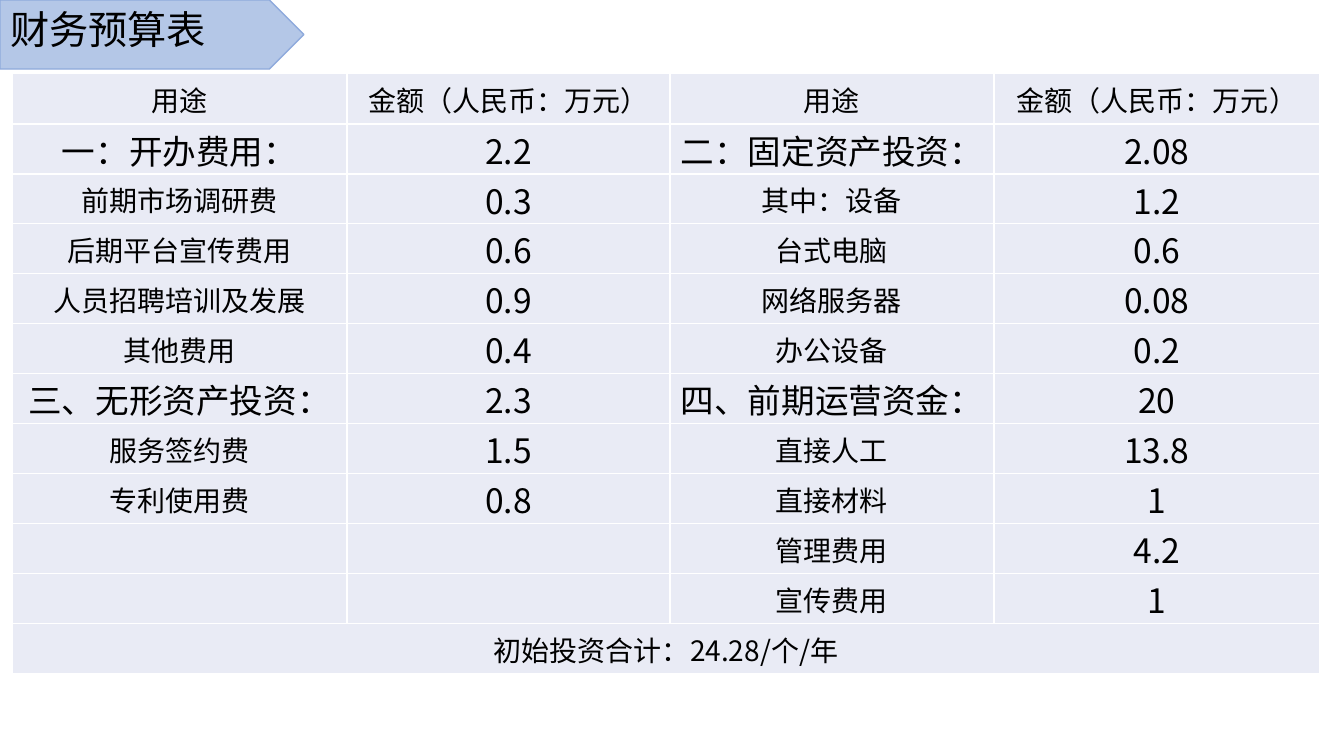
from lxml.etree import SubElement
from pptx import Presentation
from pptx.dml.color import RGBColor
from pptx.enum.shapes import MSO_SHAPE as SHAPE
from pptx.enum.text import MSO_ANCHOR as ANCHOR, MSO_AUTO_SIZE as AUTO, PP_ALIGN as ALIGN
from pptx.oxml.ns import qn
from pptx.util import Pt

PX = 12192000 / 1344
FONT = "Noto Sans CJK SC"
COLORS = {"text": "000000", "banner": "B4C7E7", "banner_line": "8FAADC",
          "cell": "E9EBF5", "border": "FFFFFF"}
COLS = [335, 323, 324, 326]
HEADER_H, ROW_H = 51, 50
HEADER = ["用途", "金额（人民币：万元）"] * 2
TOTAL = "初始投资合计：24.28/个/年"
LEFT = [
    ("一：开办费用：", "2.2"), ("前期市场调研费", "0.3"), ("后期平台宣传费用", "0.6"),
    ("人员招聘培训及发展", "0.9"), ("其他费用", "0.4"), ("三、无形资产投资：", "2.3"),
    ("服务签约费", "1.5"), ("专利使用费", "0.8"), ("", ""), ("", ""),
]
RIGHT = [
    ("二：固定资产投资：", "2.08"), ("其中：设备", "1.2"), ("台式电脑", "0.6"),
    ("网络服务器", "0.08"), ("办公设备", "0.2"), ("四、前期运营资金：", "20"),
    ("直接人工", "13.8"), ("直接材料", "1"), ("管理费用", "4.2"), ("宣传费用", "1"),
]
SECTION_ROWS = (1, 6)


def px(n):
    return round(n * PX)


def rgb(name):
    return RGBColor.from_string(COLORS[name])


def apply(obj, values):
    for key, value in values.items():
        setattr(obj, key, value)


def write(tf, text, size, align):
    p = tf.paragraphs[0]
    p.alignment = align
    r = p.add_run()
    r.text = text
    apply(r.font, {"size": Pt(size), "name": FONT, "bold": False})
    r.font.color.rgb = rgb("text")
    SubElement(r.font._element, qn("a:ea"), typeface=FONT)


def add_banner(s, x, y, w, h):
    sp = s.shapes.add_shape(SHAPE.PENTAGON, px(x), px(y), px(w), px(h))
    sp.shadow.inherit = False
    sp.fill.solid()
    sp.fill.fore_color.rgb = rgb("banner")
    sp.line.color.rgb = rgb("banner_line")
    sp.line.width = Pt(1)
    title = s.shapes.title
    apply(title, {"left": px(x), "top": px(y), "width": px(249), "height": px(57)})
    s.shapes._spTree.append(title._element)
    tf = title.text_frame
    apply(tf, {"word_wrap": True, "auto_size": AUTO.SHAPE_TO_FIT_TEXT,
               "vertical_anchor": ANCHOR.TOP})
    write(tf, "财务预算表", 28, ALIGN.LEFT)
    tf.paragraphs[0].line_spacing = 1.0


def format_cell(cell):
    apply(cell, {"margin_left": px(1), "margin_right": px(1), "margin_top": px(1),
                 "margin_bottom": 0, "vertical_anchor": ANCHOR.MIDDLE})
    tc_pr = cell._tc.get_or_add_tcPr()
    for side in ("lnL", "lnR", "lnT", "lnB"):
        ln = SubElement(tc_pr, qn("a:" + side), w=str(Pt(1)))
        fill = SubElement(ln, qn("a:solidFill"))
        SubElement(fill, qn("a:srgbClr"), val=COLORS["border"])
    cell.fill.solid()
    cell.fill.fore_color.rgb = rgb("cell")


def add_budget(s, x, y):
    rows = [HEADER, *([*a, *b] for a, b in zip(LEFT, RIGHT)), [TOTAL, "", "", ""]]
    heights = [HEADER_H] + [ROW_H] * (len(rows) - 1)
    table = s.shapes.add_table(len(rows), len(COLS), px(x), px(y),
                               px(sum(COLS)), px(sum(heights))).table
    apply(table, {"first_row": False, "horz_banding": False})
    for col, w in zip(table.columns, COLS):
        col.width = px(w)
    last = len(rows) - 1
    for i, texts in enumerate(rows):
        table.rows[i].height = px(heights[i])
        for j, text in enumerate(texts):
            cell = table.cell(i, j)
            format_cell(cell)
            if text:
                amount = j % 2 == 1 and 0 < i < last
                size = 24 if amount or i in SECTION_ROWS else 20
                write(cell.text_frame, text, size, ALIGN.CENTER)
    table.cell(last, 0).merge(table.cell(last, len(COLS) - 1))


def main():
    prs = Presentation()
    apply(prs, {"slide_width": px(1344), "slide_height": px(756)})
    s = prs.slides.add_slide(prs.slide_layouts[5])
    add_budget(s, 12, 73)
    add_banner(s, 0, 0, 304, 69)
    prs.save("out.pptx")


if __name__ == "__main__":
    main()
